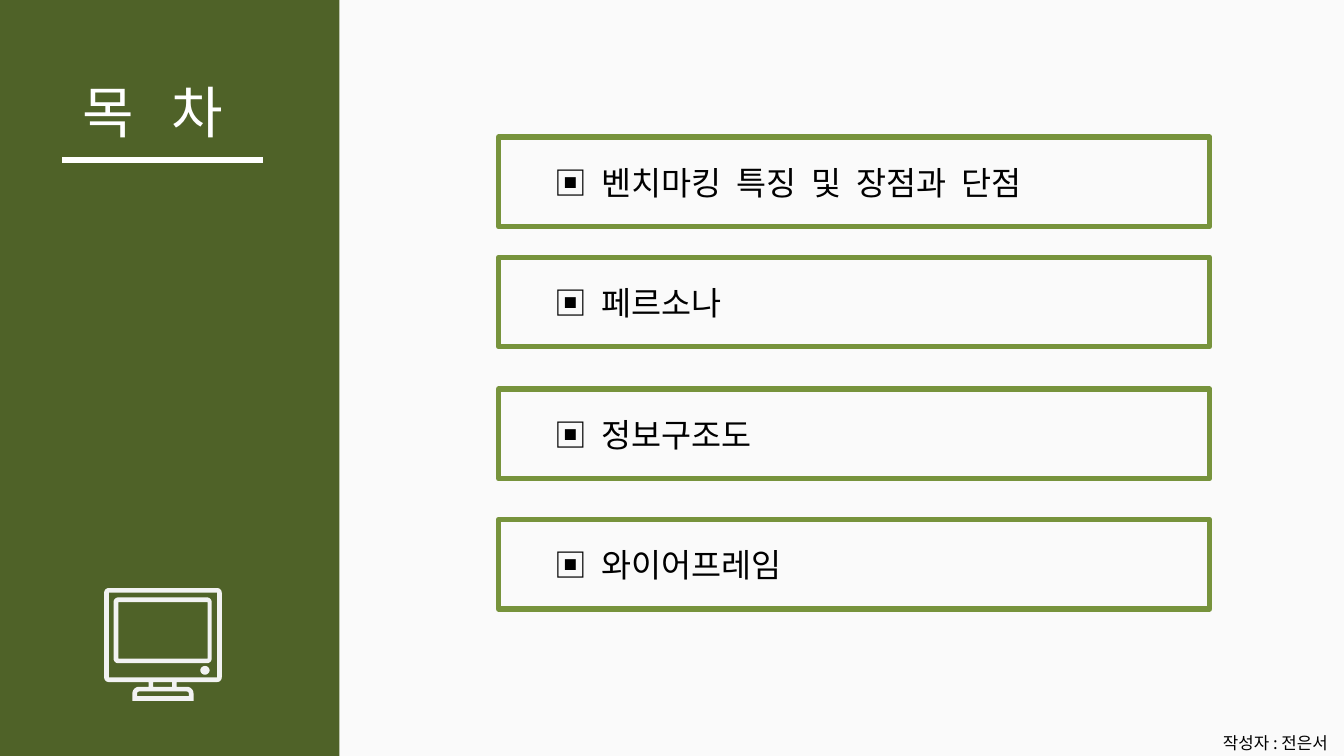
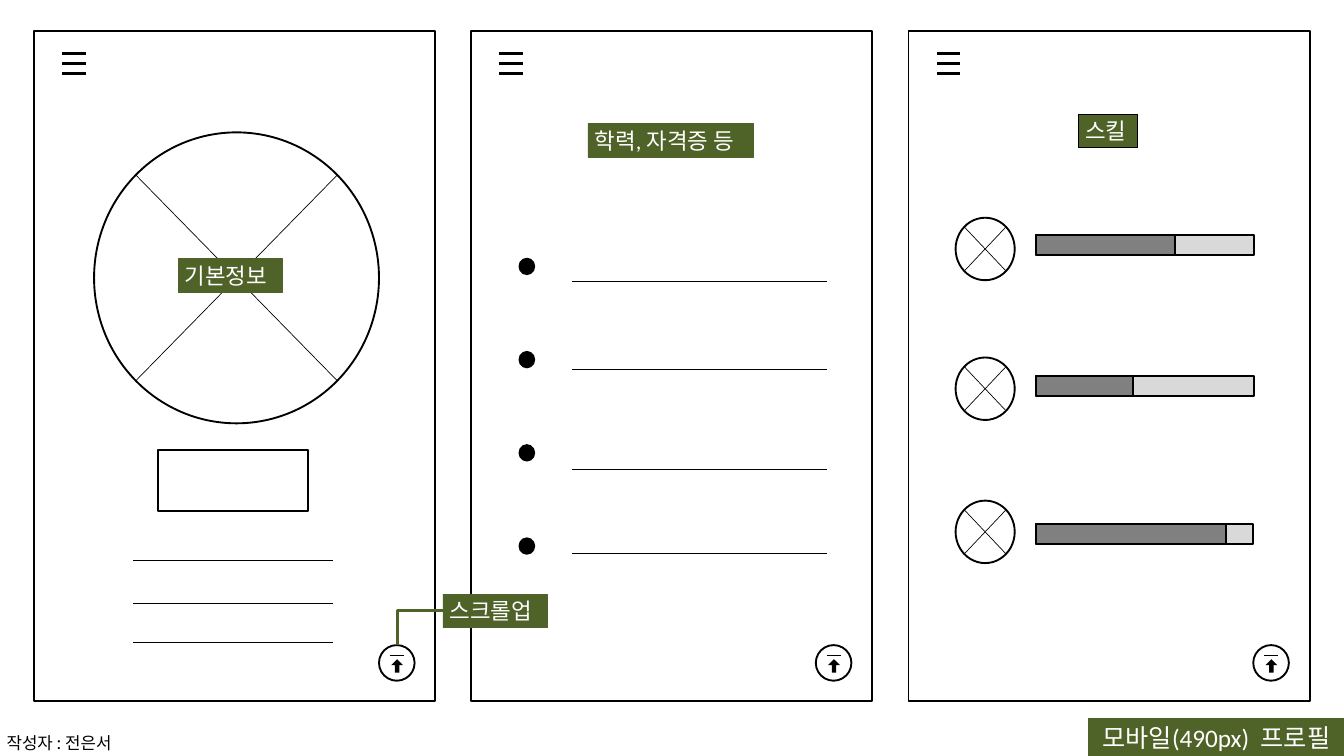
import math
from pptx import Presentation
from pptx import util as u
from pptx.dml.color import RGBColor
from pptx.enum import shapes, text
from pptx.oxml import ns, xmlchemy

WIDTH, HEIGHT = 20, 11.25
GREEN = RGBColor(0x4F, 0x62, 0x28)
LEAF = RGBColor(0x77, 0x93, 0x3C)
WHITE = RGBColor(255, 255, 255)
PAPER = RGBColor(0xFA, 0xFA, 0xFA)
ICON = RGBColor(0xF2, 0xF2, 0xF2)
BLACK = RGBColor(0, 0, 0)
TRACK = RGBColor(0xD9, 0xD9, 0xD9)
LEVEL = RGBColor(0x80, 0x80, 0x80)
KOREAN, LATIN = "Noto Sans CJK KR", "Calibri"
SPACE_SHARE = 0.224

RECT = shapes.MSO_SHAPE.RECTANGLE
OVAL = shapes.MSO_SHAPE.OVAL
ARROW = shapes.MSO_SHAPE.UP_ARROW

AUTHOR = "작성자 : 전은서"
CONTENTS_TITLE = "목 차"
CONTENTS = [
    ("▣ 벤치마킹 특징 및 장점과 단점", 2.04),
    ("▣ 페르소나", 3.83),
    ("▣ 정보구조도", 5.79),
    ("▣ 와이어프레임", 7.73),
]
WIREFRAME_TITLE = "모바일(490px) 프로필"
PHONE_TOP, PHONE_WIDTH, PHONE_HEIGHT = 0.46, 5.97, 9.97
PHONES = [0.51, 7.01, 13.52]
LABELS = [
    ("기본정보", 2.65, 3.85, 1.55, GREEN),
    ("스크롤업", 6.59, 8.84, 1.55, GREEN),
    ("학력, 자격증 등", 8.75, 1.84, 2.46, GREEN),
    ("스킬", 16.05, 1.7, 0.88, BLACK),
]
PROFILE_LINES = [8.34, 8.98, 9.56]
CAREER_LINES = [4.18, 5.49, 6.98, 8.24]
CAREER_DOT_TOP, CAREER_DOT_STEP = 3.85, 1.387
SKILLS = [
    (3.24, 3.5, 3.24, 2.06),
    (5.32, 5.59, 3.24, 1.44),
    (7.45, 7.8, 3.22, 2.83),
]


def write(shape, content, size, font=KOREAN, color=BLACK, extra_spaces=0,
          align=text.PP_ALIGN.LEFT, anchor=text.MSO_ANCHOR.TOP, wrap=False):
    frame = shape.text_frame
    frame.auto_size = text.MSO_AUTO_SIZE.NONE
    frame.word_wrap = wrap
    frame.vertical_anchor = anchor
    para = frame.paragraphs[0]
    para.alignment = align
    pieces = [content]
    if extra_spaces:
        pieces = content.replace(" ", "| |").split("|")
    for piece in pieces:
        span = para.add_run()
        span.text = piece
        span.font.size = u.Pt(size)
        span.font.name = font
        span.font.bold = False
        span.font.color.rgb = color
        props = span.font._element
        east = xmlchemy.OxmlElement("a:ea")
        east.set("typeface", KOREAN)
        props.find(ns.qn("a:latin")).addnext(east)
        if piece == " ":
            props.set("spc", str(round(extra_spaces * SPACE_SHARE * size * 100)))


def place(shape, left, top, width, height):
    shape.left, shape.top = u.Inches(left), u.Inches(top)
    shape.width, shape.height = u.Inches(width), u.Inches(height)


def paint(shape, fill=None, line=None, weight=2):
    if fill is None:
        shape.fill.background()
    else:
        shape.fill.solid()
        shape.fill.fore_color.rgb = fill
    if line is None:
        shape.line.fill.background()
    else:
        shape.line.color.rgb = line
        shape.line.width = u.Pt(weight)


def add_box(page, kind, left, top, width, height, **look):
    box = page.shapes.add_shape(kind, *map(u.Inches, (left, top, width, height)))
    box.shadow.inherit = False
    paint(box, **look)
    return box


def add_line(page, x1, y1, x2, y2, color=BLACK, weight=0.75, bent=False):
    kind = shapes.MSO_CONNECTOR.ELBOW if bent else shapes.MSO_CONNECTOR.STRAIGHT
    line = page.shapes.add_connector(kind, *map(u.Inches, (x1, y1, x2, y2)))
    line.line.color.rgb = color
    line.line.width = u.Pt(weight)
    props = line._element.spPr
    if bent:
        props.find(ns.qn("a:prstGeom")).set("prst", "bentConnector2")
    props.append(xmlchemy.OxmlElement("a:effectLst"))


def add_text(page, content, left, top, width, height, size, **look):
    box = page.shapes.add_textbox(*map(u.Inches, (left, top, width, height)))
    write(box, content, size, **look)


def add_author(page, left):
    add_text(page, AUTHOR, left, HEIGHT - 0.4, 1.9, 0.4, 18)


def add_page(deck, background):
    page = deck.slides.add_slide(deck.slide_layouts[5])
    page.background.fill.solid()
    page.background.fill.fore_color.rgb = background
    return page


def rounded(left, top, right, bottom, top_radius=0.0, bottom_radius=0.0):
    corners = [
        (right - top_radius, top + top_radius, top_radius, 270),
        (right - bottom_radius, bottom - bottom_radius, bottom_radius, 0),
        (left + bottom_radius, bottom - bottom_radius, bottom_radius, 90),
        (left + top_radius, top + top_radius, top_radius, 180),
    ]
    points = []
    for x, y, radius, start in corners:
        for turn in range(0, 91, 15) if radius else [0]:
            angle = math.radians(start + turn)
            points.append((u.Inches(x + radius * math.cos(angle)),
                           u.Inches(y + radius * math.sin(angle))))
    return points


def add_monitor(page):
    outlines = [
        rounded(1.55, 8.75, 3.3, 10.15, 0.07, 0.07),
        rounded(1.62, 8.82, 3.23, 10.08),
        rounded(1.69, 8.89, 3.15, 9.87, 0.07, 0.07),
        rounded(1.76, 8.96, 3.09, 9.8),
        rounded(2.98, 9.91, 3.12, 10.04, 0.07, 0.07),
        rounded(2.21, 10.15, 2.28, 10.22),
        rounded(2.56, 10.15, 2.63, 10.22),
        rounded(1.97, 10.22, 2.88, 10.43, 0.1),
        rounded(2.04, 10.29, 2.81, 10.36, 0.03),
    ]
    builder = page.shapes.build_freeform(*outlines[0][0])
    for index, points in enumerate(outlines):
        if index:
            builder.move_to(*points[0])
        builder.add_line_segments(points[1:], close=True)
    monitor = builder.convert_to_shape()
    monitor.shadow.inherit = False
    paint(monitor, fill=ICON)


def add_crossed_circle(page, left, top, width, height):
    add_box(page, OVAL, left, top, width, height, fill=WHITE, line=BLACK)
    inset = (1 - math.sqrt(0.5)) / 2
    x1, x2 = left + inset * width, left + (1 - inset) * width
    y1, y2 = top + inset * height, top + (1 - inset) * height
    add_line(page, x2, y1, x1, y2)
    add_line(page, x1, y1, x2, y2)


def add_phone(page, left):
    add_box(page, RECT, left, PHONE_TOP, PHONE_WIDTH, PHONE_HEIGHT, line=BLACK)
    for y in (0.8, 0.95, 1.09):
        add_line(page, left + 0.42, y, left + 0.77, y, weight=3)
    add_box(page, OVAL, left + 5.13, 9.6, 0.53, 0.53, line=BLACK)
    arrow = add_box(page, ARROW, left + 5.31, 9.81, 0.18, 0.2, fill=BLACK)
    arrow.adjustments[0] = 0.36
    add_line(page, left + 5.29, 9.75, left + 5.5, 9.75, weight=1)


def build_contents(deck):
    page = add_page(deck, PAPER)
    add_box(page, RECT, -0.2, -0.15, 5.25, 11.54, fill=GREEN)
    title = page.shapes.title
    place(title, 1.13, 1.11, 2.58, 1.11)
    write(title, CONTENTS_TITLE, 60, color=WHITE, extra_spaces=2, wrap=True)
    title._element.getparent().append(title._element)
    add_line(page, 0.93, 2.38, 3.91, 2.38, color=WHITE, weight=6)
    add_monitor(page)
    add_author(page, WIDTH - 1.9)
    for item, top in CONTENTS:
        add_text(page, item, 8.15, top + 0.33, 7.63, 0.69, 35, extra_spaces=1, wrap=True)
        add_box(page, RECT, 7.42, top, 10.58, 1.33, line=LEAF, weight=6)


def build_wireframe(deck):
    page = add_page(deck, WHITE)
    title = page.shapes.title
    place(title, WIDTH - 3.8, HEIGHT - 0.56, 3.8, 0.56)
    paint(title, GREEN, GREEN, 0.75)
    write(title, WIREFRAME_TITLE, 27, font=LATIN, color=WHITE, extra_spaces=1,
          align=text.PP_ALIGN.CENTER, anchor=text.MSO_ANCHOR.MIDDLE)
    for left in PHONES:
        add_phone(page, left)

    add_crossed_circle(page, 1.4, 1.97, 4.24, 4.33)
    add_box(page, RECT, 2.35, 6.7, 2.23, 0.9, line=BLACK)
    for y in PROFILE_LINES:
        add_line(page, 1.98, y, 4.96, y)

    for row, y in enumerate(CAREER_LINES):
        add_box(page, OVAL, 7.73, CAREER_DOT_TOP + row * CAREER_DOT_STEP, 0.22, 0.23,
                fill=BLACK, line=BLACK)
        add_line(page, 8.51, y, 12.3, y)

    for circle_top, bar_top, track, level in SKILLS:
        add_crossed_circle(page, 14.22, circle_top, 0.88, 0.93)
        for width, color in ((track, TRACK), (level, LEVEL)):
            add_box(page, RECT, 15.42, bar_top, width, 0.3, fill=color, line=BLACK)

    add_line(page, 6.59, 9.09, 5.91, 9.6, color=GREEN, weight=3, bent=True)
    for name, left, top, width, edge in LABELS:
        label = add_box(page, RECT, left, top, width, 0.5,
                        fill=GREEN, line=edge, weight=0.75)
        write(label, name, 24, font=LATIN, color=WHITE, anchor=text.MSO_ANCHOR.MIDDLE)
    add_author(page, 0)


def main():
    deck = Presentation()
    deck.slide_width, deck.slide_height = u.Inches(WIDTH), u.Inches(HEIGHT)
    build_contents(deck)
    build_wireframe(deck)
    deck.save("out.pptx")


if __name__ == "__main__":
    main()
